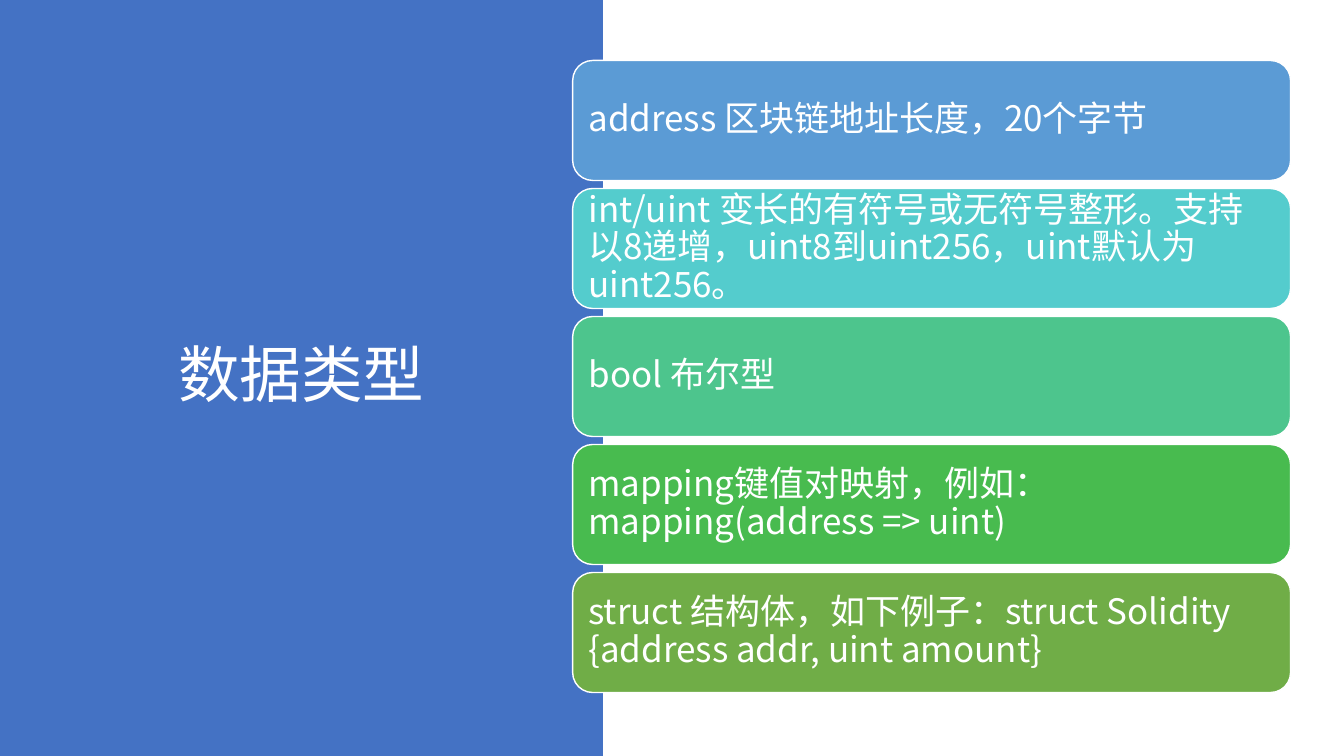
from pptx import Presentation
from pptx.dml.color import RGBColor
from pptx.enum import shapes, text
from pptx.oxml import ns
from pptx.util import Inches, Pt
from lxml import etree

WHITE = RGBColor(0xFF, 0xFF, 0xFF)
PANEL_BLUE = RGBColor(0x44, 0x72, 0xC4)
FONT = "Noto Sans CJK SC"

DATA_TYPES = [
    ("address 区块链地址长度，20个字节", RGBColor(0x5B, 0x9B, 0xD5)),
    ("int/uint 变长的有符号或无符号整形。支持以8递增，uint8到uint256，uint默认为uint256。",
     RGBColor(0x54, 0xCC, 0xCD)),
    ("bool 布尔型", RGBColor(0x4D, 0xC5, 0x8D)),
    ("mapping键值对映射，例如：mapping(address => uint)", RGBColor(0x48, 0xBB, 0x4F)),
    ("struct 结构体，如下例子：struct Solidity {address addr, uint amount}",
     RGBColor(0x70, 0xAD, 0x47)),
]


def write(frame, words, size, align):
    frame.word_wrap = True
    frame.auto_size = text.MSO_AUTO_SIZE.NONE
    frame.vertical_anchor = text.MSO_ANCHOR.MIDDLE
    paragraph = frame.paragraphs[0]
    paragraph.alignment = align
    paragraph.line_spacing = 0.9
    run = paragraph.add_run()
    run.text = words
    run.font.size = Pt(size)
    run.font.name = FONT
    run.font.color.rgb = WHITE
    east_asian = etree.SubElement(run.font._element, ns.qn("a:ea"))
    east_asian.set("typeface", FONT)


def add_title_panel(slide, left, top, width, height):
    panel = slide.shapes.add_shape(
        shapes.MSO_SHAPE.RECTANGLE, left, top, width, height)
    panel.shadow.inherit = False
    panel.fill.solid()
    panel.fill.fore_color.rgb = PANEL_BLUE
    panel.line.fill.background()
    # Behind the title placeholder
    slide.shapes._spTree.insert(2, panel._element)

    title = slide.shapes.title
    title.left, title.top = left + Inches(0.68), top + Inches(0.7)
    title.width, title.height = width - Inches(1.36), height - Inches(1.4)
    write(title.text_frame, "数据类型", 44, text.PP_ALIGN.CENTER)


def add_type_cards(slide, left, top, width, height):
    """Stack one card per data type, evenly spaced over the height."""
    card_height = Inches(1.19)
    pitch = (height - card_height) // (len(DATA_TYPES) - 1)
    for row, (description, color) in enumerate(DATA_TYPES):
        card = slide.shapes.add_shape(
            shapes.MSO_SHAPE.ROUNDED_RECTANGLE,
            left, top + row * pitch, width, card_height)
        card.shadow.inherit = False
        card.fill.solid()
        card.fill.fore_color.rgb = color
        card.line.color.rgb = WHITE
        card.line.width = Pt(1)
        frame = card.text_frame
        frame.margin_left = frame.margin_right = Inches(0.1)
        frame.margin_top = frame.margin_bottom = Inches(0.1)
        write(frame, description, 25, text.PP_ALIGN.LEFT)


def main():
    deck = Presentation()
    deck.slide_width, deck.slide_height = Inches(13.33), Inches(7.5)
    slide = deck.slides.add_slide(deck.slide_layouts.get_by_name("Title Only"))
    add_title_panel(slide, 0, 0, Inches(5.98), deck.slide_height)
    add_type_cards(slide, Inches(5.68), Inches(0.6), Inches(7.12), Inches(6.27))
    deck.save("out.pptx")


if __name__ == "__main__":
    main()
